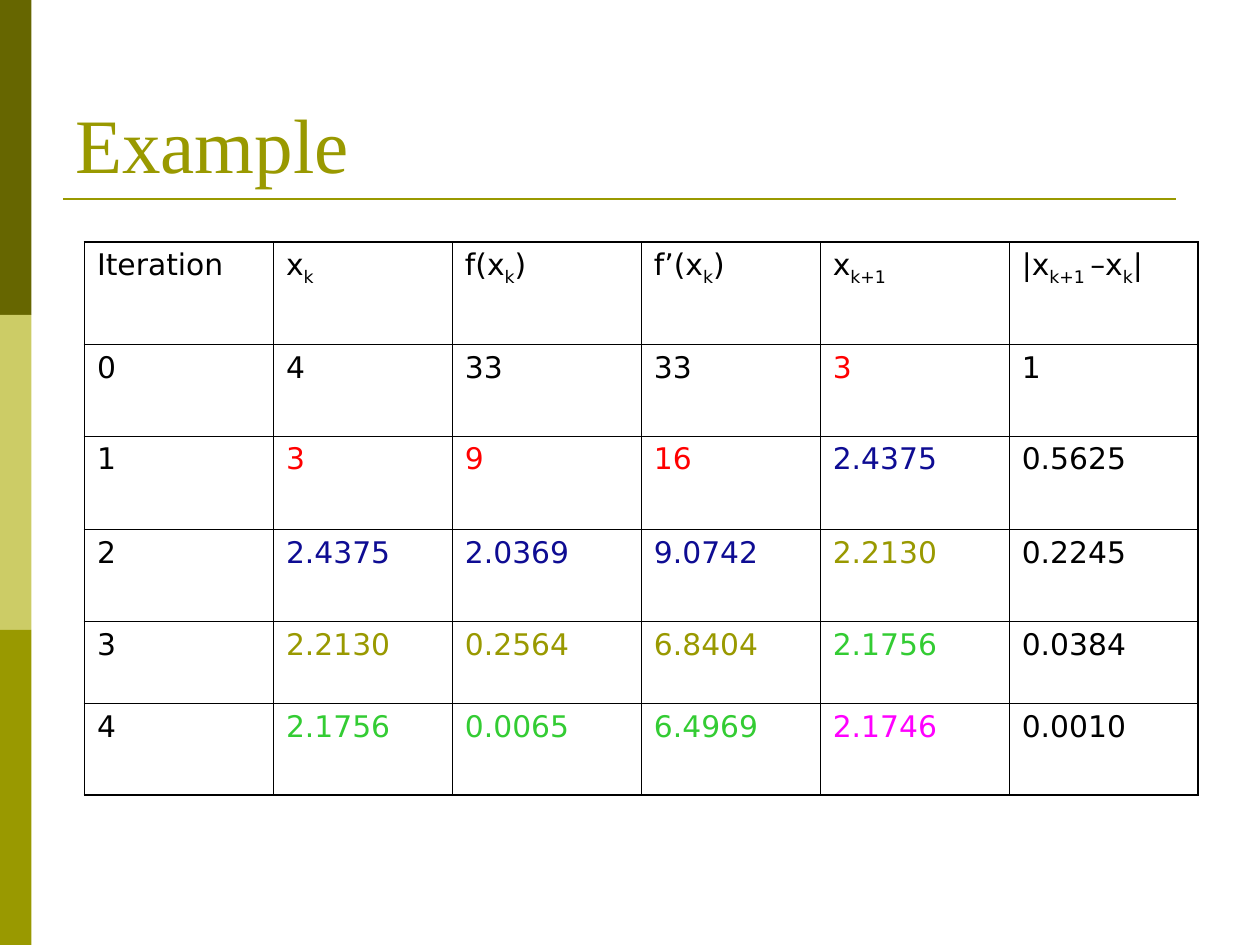
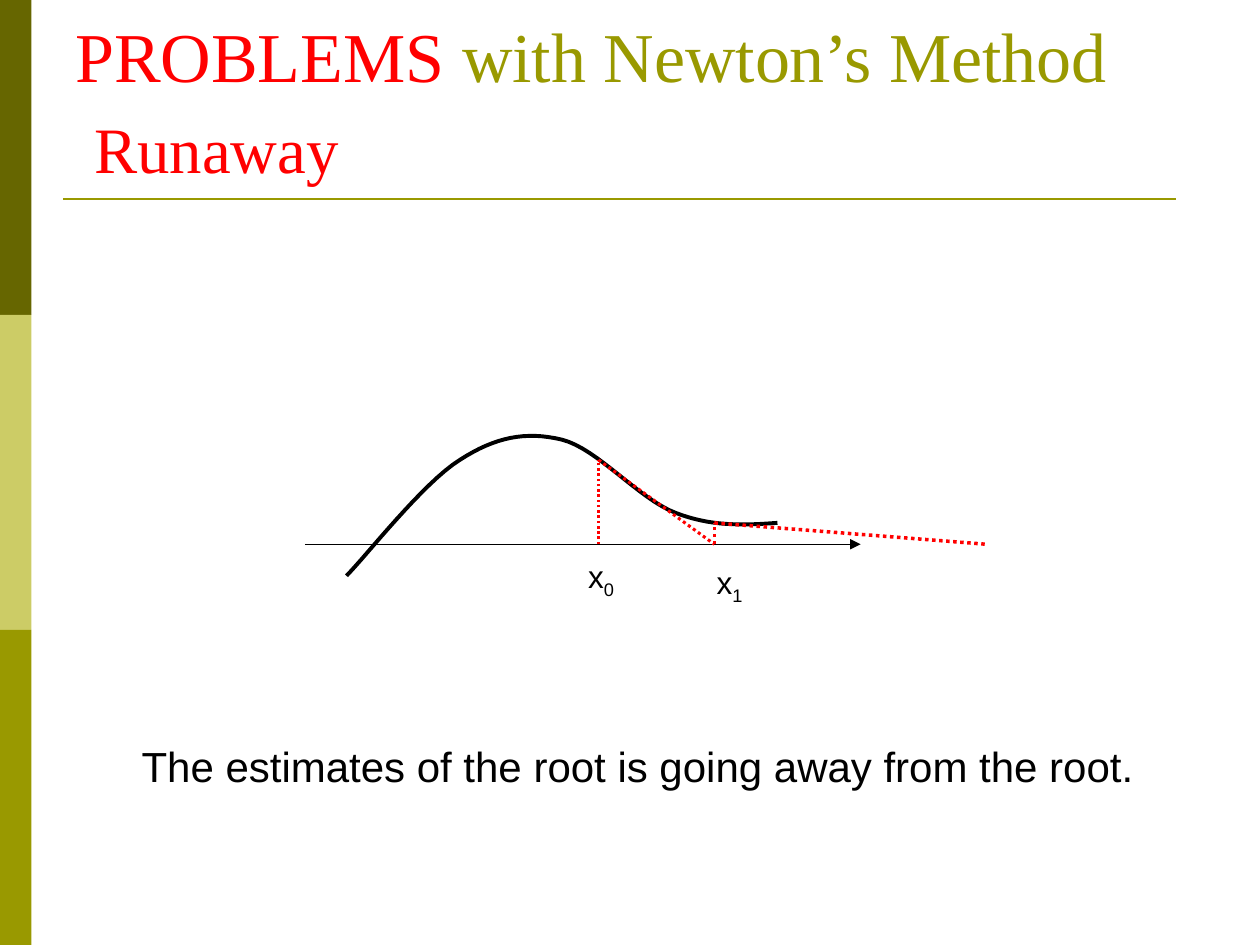
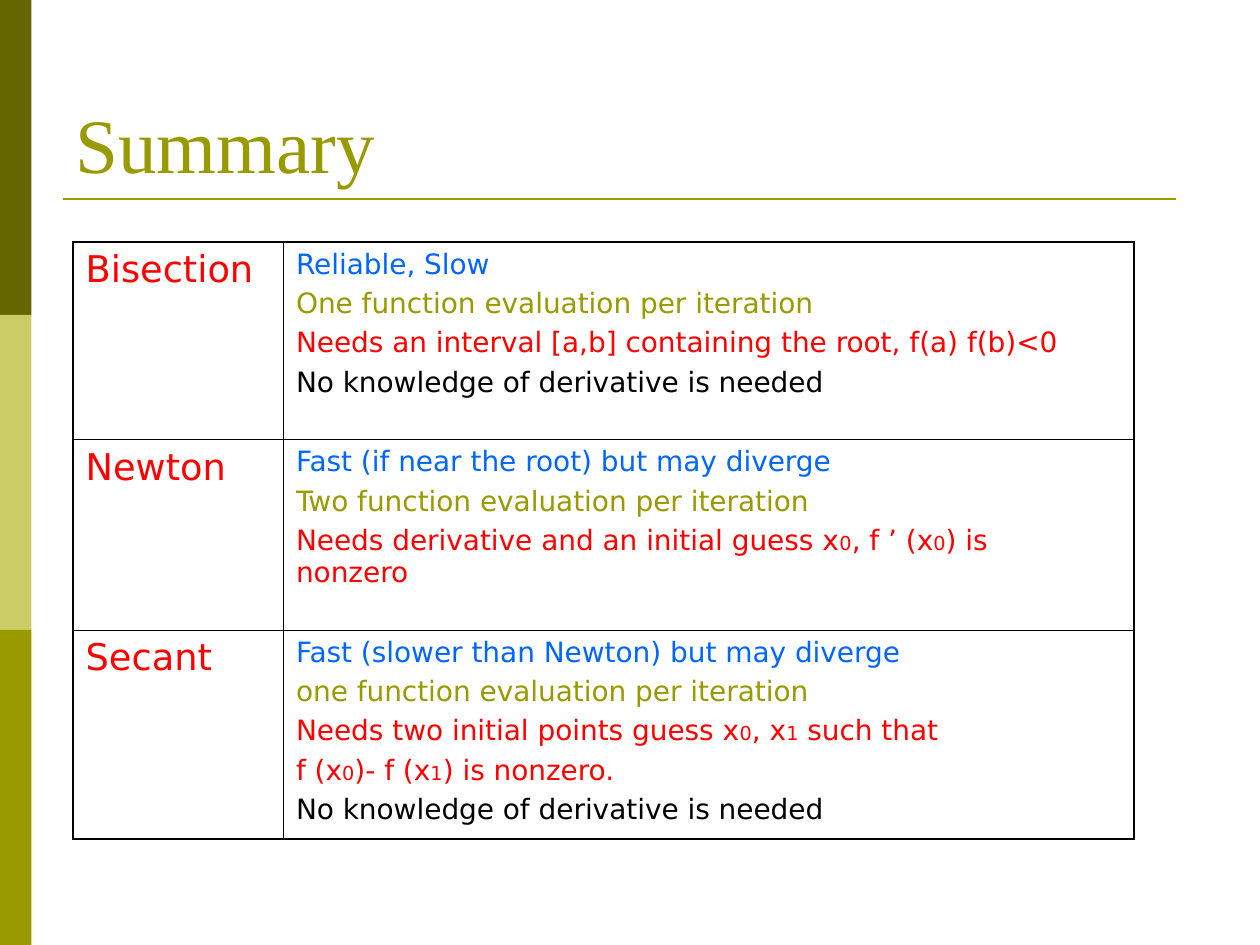
import pptx
import pptx.dml.color
import pptx.enum.dml
import pptx.enum.shapes
import pptx.enum.text
import pptx.oxml
import pptx.oxml.ns
import pptx.util

Inches = pptx.util.Inches
Pt = pptx.util.Pt

# Shared look
OLIVE, DARK_OLIVE, LIGHT_OLIVE = "999900", "666600", "CCCC66"
BLACK, RED, NAVY, BLUE = "000000", "FF0000", "0E0C93", "0066FF"
GREEN, MAGENTA = "33CC33", "FF00FF"
TITLE_FONT, TABLE_FONT, LABEL_FONT = "Times New Roman", "DejaVu Sans", "Arial"
OUTER_BORDER, INNER_BORDER = 1.08, 0.45


def rgb(value):
    return pptx.dml.color.RGBColor.from_string(value)


def add_xml(parent, tag, attributes="", children=""):
    namespace = pptx.oxml.ns.nsdecls("a")
    parent.append(pptx.oxml.parse_xml(
        f"<a:{tag} {namespace} {attributes}>{children}</a:{tag}>"))


def add_run(paragraph, text, size, font, color):
    run = paragraph.add_run()
    run.text = text
    run.font.size = Pt(size)
    run.font.name = font
    run.font.color.rgb = rgb(color)
    return run


def add_marked_text(paragraph, text, size, font, color, small_size=None):
    """Parts between tildes are subscripts, or just smaller if small_size is given."""
    for index, part in enumerate(text.split("~")):
        if not part:
            continue
        is_subscript = index % 2 == 1
        part_size = small_size if is_subscript and small_size else size
        run = add_run(paragraph, part, part_size, font, color)
        if is_subscript and not small_size:
            run._r.get_or_add_rPr().set("baseline", "-25000")


def add_text_box(slide, left, top, width, height):
    box = slide.shapes.add_textbox(Inches(left), Inches(top), Inches(width), Inches(height))
    box.text_frame.word_wrap = True
    return box.text_frame


def add_line(slide, start, end, color, width, dotted=False, arrow=False):
    line = slide.shapes.add_connector(
        pptx.enum.shapes.MSO_CONNECTOR.STRAIGHT, *map(Inches, (*start, *end)))
    line.line.color.rgb = rgb(color)
    line.line.width = Pt(width)
    if dotted:
        line.line.dash_style = pptx.enum.dml.MSO_LINE.ROUND_DOT
    if arrow:
        add_xml(line.line._get_or_add_ln(), "tailEnd", 'type="triangle"')
    add_xml(line._element.spPr, "effectLst")


def add_base_slide(presentation):
    """Blank slide with the side bands and the rule below the title."""
    slide = presentation.slides.add_slide(presentation.slide_layouts[6])
    for index, color in enumerate((DARK_OLIVE, LIGHT_OLIVE, OLIVE)):
        band = slide.shapes.add_shape(
            pptx.enum.shapes.MSO_SHAPE.RECTANGLE,
            0, Inches(2.5 * index), Inches(0.25), Inches(2.5))
        band.shadow.inherit = False
        band.fill.solid()
        band.fill.fore_color.rgb = rgb(color)
        band.line.fill.background()
    add_line(slide, (0.5, 1.58), (9.33, 1.58), OLIVE, 1.5)
    return slide


def add_title(slide, parts, size=44):
    frame = add_text_box(slide, 0.5, 0.3, 9, 1.25)
    frame.vertical_anchor = pptx.enum.text.MSO_ANCHOR.BOTTOM
    for text, color in parts:
        add_run(frame.paragraphs[0], text, size, TITLE_FONT, color)
    return frame


def add_table(slide, left, top, column_widths, row_heights):
    """Table without fills: thin inner borders, thicker outer ones."""
    row_count, column_count = len(row_heights), len(column_widths)
    table = slide.shapes.add_table(
        row_count, column_count, Inches(left), Inches(top),
        Inches(sum(column_widths)), Inches(sum(row_heights))).table
    table.first_row = table.horz_banding = False
    for column, width in zip(table.columns, column_widths):
        column.width = Inches(width)
    for row, height in zip(table.rows, row_heights):
        row.height = Inches(height)
    border_fill = f'<a:solidFill><a:srgbClr val="{BLACK}"/></a:solidFill>'
    for row in range(row_count):
        for column in range(column_count):
            cell = table.cell(row, column)
            outer_sides = {"L": column == 0, "R": column == column_count - 1,
                           "T": row == 0, "B": row == row_count - 1}
            for side, is_outer in outer_sides.items():
                width = Pt(OUTER_BORDER if is_outer else INNER_BORDER)
                add_xml(cell._tc.get_or_add_tcPr(), f"ln{side}", f'w="{width}"', border_fill)
            cell.fill.background()
    return table


def add_curve(slide, start, segments, color, width, steps=16):
    """Smooth outline through cubic segments (control, control, end)."""
    points = []
    previous = start
    for segment in segments:
        corners = (previous, *segment)
        for step in range(1, steps + 1):
            t = step / steps
            weights = ((1 - t) ** 3, 3 * t * (1 - t) ** 2, 3 * t ** 2 * (1 - t), t ** 3)
            points.append(tuple(
                Inches(sum(weight * corner[axis] for weight, corner in zip(weights, corners)))
                for axis in (0, 1)))
        previous = segment[-1]
    builder = slide.shapes.build_freeform(Inches(start[0]), Inches(start[1]))
    builder.add_line_segments(points, close=False)
    curve = builder.convert_to_shape()
    curve.shadow.inherit = False
    curve.fill.background()
    curve.line.color.rgb = rgb(color)
    curve.line.width = Pt(width)


def add_axis_label(slide, left, top, text):
    frame = add_text_box(slide, left, top, 0.6, 0.44)
    add_marked_text(frame.paragraphs[0], text, 18, LABEL_FONT, BLACK)


def build_example(presentation):
    slide = add_base_slide(presentation)
    add_title(slide, [("Example", OLIVE)])
    rows = [
        ("Iteration", "x~k~", "f(x~k~)", "f’(x~k~)", "x~k+1~", "|x~k+1 ~–x~k~|"),
        ("0", "4", "33", "33", "3", "1"),
        ("1", "3", "9", "16", "2.4375", "0.5625"),
        ("2", "2.4375", "2.0369", "9.0742", "2.2130", "0.2245"),
        ("3", "2.2130", "0.2564", "6.8404", "2.1756", "0.0384"),
        ("4", "2.1756", "0.0065", "6.4969", "2.1746", "0.0010"),
    ]
    # Each new estimate takes the colour of the row that uses it next
    estimate_colors = [BLACK, BLACK, RED, NAVY, OLIVE, GREEN, MAGENTA]
    table = add_table(slide, 0.67, 1.92, (1.5, 1.42, 1.5, 1.42, 1.5, 1.5),
                      (0.81, 0.73, 0.74, 0.73, 0.65, 0.73))
    for row, texts in enumerate(rows):
        current = estimate_colors[row]
        following = estimate_colors[row + 1]
        colors = (BLACK, current, current, current, following, BLACK)
        for column, (text, color) in enumerate(zip(texts, colors)):
            paragraph = table.cell(row, column).text_frame.paragraphs[0]
            add_marked_text(paragraph, text, 17, TABLE_FONT, color)


def build_runaway(presentation):
    slide = add_base_slide(presentation)
    title = add_title(slide, [("PROBLEMS ", RED), ("with Newton’s Method", OLIVE)], 40)
    title.margin_bottom = Inches(0.07)
    subtitle = title.add_paragraph()
    subtitle._p.get_or_add_pPr().set("marL", str(Inches(0.15)))
    subtitle.space_before = Pt(7)
    add_run(subtitle, "Runaway", 37, TITLE_FONT, RED)

    conclusion = add_text_box(slide, 0.85, 5.83, 8.42, 0.5).paragraphs[0]
    conclusion.alignment = pptx.enum.text.PP_ALIGN.CENTER
    add_run(conclusion, "The estimates of the root is going away from the root.",
            24, LABEL_FONT, BLACK)

    # Function, axis and tangent steps
    add_curve(slide, (6.17, 4.15), [
        ((5.9, 4.17), (5.64, 4.18), (5.36, 4.07)),
        ((5.07, 3.96), (4.74, 3.56), (4.46, 3.49)),
        ((4.17, 3.42), (3.93, 3.47), (3.65, 3.65)),
        ((3.36, 3.83), (2.9, 4.42), (2.75, 4.57)),
    ], BLACK, 2.25)
    add_line(slide, (2.42, 4.32), (6.83, 4.32), BLACK, 0.75, arrow=True)
    steps = [(4.75, 4.32), (4.75, 3.65), (5.67, 4.32), (5.67, 4.15), (7.83, 4.32)]
    for start, end, width in zip(steps, steps[1:], (1.5, 1.75, 2, 2)):
        add_line(slide, start, end, RED, width, dotted=True)
    add_axis_label(slide, 4.57, 4.37, "x~0~")
    add_axis_label(slide, 5.59, 4.42, "x~1~")


def build_summary(presentation):
    slide = add_base_slide(presentation)
    add_title(slide, [("Summary", OLIVE)])
    methods = [
        ("Bisection", [
            ("Reliable, Slow", BLUE),
            ("One function evaluation per iteration", OLIVE),
            ("Needs an interval [a,b] containing the root, f(a) f(b)<0", RED),
            ("No knowledge of derivative is needed", BLACK)]),
        ("Newton", [
            ("Fast (if near the root) but may diverge", BLUE),
            ("Two function evaluation per iteration", OLIVE),
            ("Needs derivative and an initial guess x~0~, f ’ (x~0~) is nonzero", RED)]),
        ("Secant", [
            ("Fast (slower than Newton) but may diverge", BLUE),
            ("one function evaluation per iteration", OLIVE),
            ("Needs two initial points guess x~0~, x~1~ such that", RED),
            ("f (x~0~)- f (x~1~) is nonzero.", RED),
            ("No knowledge of derivative is needed", BLACK)]),
    ]
    table = add_table(slide, 0.58, 1.92, (1.67, 6.75), (1.57, 1.51, 1.66))
    for row, (method, properties) in enumerate(methods):
        add_run(table.cell(row, 0).text_frame.paragraphs[0], method, 21, TABLE_FONT, RED)
        cell = table.cell(row, 1)
        cell.margin_right = Inches(0.4)
        for index, (text, color) in enumerate(properties):
            if index == 0:
                paragraph = cell.text_frame.paragraphs[0]
            else:
                paragraph = cell.text_frame.add_paragraph()
                paragraph.space_before = Pt(4)
            add_marked_text(paragraph, text, 16, TABLE_FONT, color, small_size=11)


def main():
    presentation = pptx.Presentation()
    presentation.slide_width = Inches(10)
    presentation.slide_height = Inches(7.5)
    build_example(presentation)
    build_runaway(presentation)
    build_summary(presentation)
    presentation.save("out.pptx")


if __name__ == "__main__":
    main()
